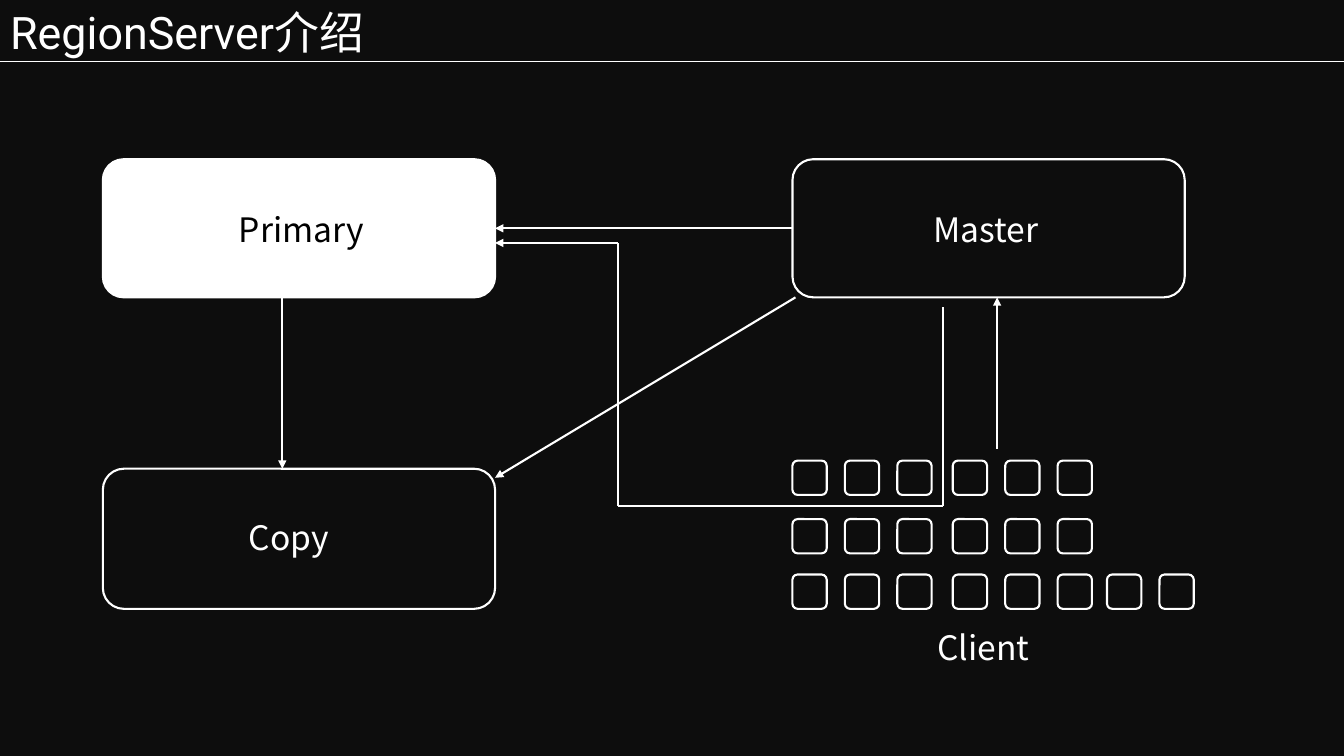
import itertools

import pptx
import pptx.dml.color
import pptx.enum.shapes
import pptx.enum.text
import pptx.oxml.ns
import pptx.util
from pptx.util import Inches

BLACK = pptx.dml.color.RGBColor(0x00, 0x00, 0x00)
WHITE = pptx.dml.color.RGBColor(0xFF, 0xFF, 0xFF)
NIGHT = pptx.dml.color.RGBColor(0x0D, 0x0D, 0x0D)
LABEL_FONT = "Noto Sans CJK SC"

TITLE = "RegionServer介绍"
NODES = {
    "Primary": {"place": (1.02, 1.58, 3.89, 1.37), "label": (2.27, 2.02), "fill": WHITE, "color": BLACK},
    "Copy": {"place": (1.02, 4.65, 3.89, 1.39), "label": (2.37, 5.08), "fill": None, "color": WHITE},
    "Master": {"place": (7.86, 1.58, 3.89, 1.37), "label": (9.16, 2.02), "fill": None, "color": WHITE},
}
CLIENT_LABEL = ("Client", (9.2, 6.17))
CLIENT_SIZE = 0.34
CLIENT_PITCH = 0.52
CLIENT_GROUPS = [(7.86, 3), (9.45, 3), (10.98, 2)]
CLIENT_ROWS = [(4.57, 2), (5.15, 2), (5.7, 3)]
ARROWS = [
    ((2.8, 2.95), (2.8, 4.65)),
    ((9.89, 4.45), (9.89, 2.95)),
    ((7.89, 2.95), (4.91, 4.74)),
]
CLIENT_ROUTE = [(9.35, 3.05), (9.35, 5.02), (6.13, 5.02), (6.13, 2.41), (4.91, 2.41)]


def write(box, text, font=LABEL_FONT, size=24, color=WHITE):
    """Put one left-aligned line of formatted text at the top of a box."""
    frame = box.text_frame
    frame.word_wrap = True
    frame.auto_size = pptx.enum.text.MSO_AUTO_SIZE.NONE
    frame.vertical_anchor = pptx.enum.text.MSO_ANCHOR.TOP
    para = frame.paragraphs[0]
    para.alignment = pptx.enum.text.PP_ALIGN.LEFT
    span = para.add_run()
    span.text = text
    span.font.name = font
    span.font.size = pptx.util.Pt(size)
    span.font.color.rgb = color


def add_label(page, text, corner, color=WHITE):
    """Add a text box with its top left at the given corner."""
    box = page.shapes.add_textbox(*map(Inches, (*corner, 1.95, 0.5)))
    write(box, text, color=color)


def add_rounded(page, place, fill=None):
    """Add a white-edged rounded rectangle."""
    shape = page.shapes.add_shape(
        pptx.enum.shapes.MSO_SHAPE.ROUNDED_RECTANGLE, *map(Inches, place))
    shape.adjustments[0] = 0.15
    shape.shadow.inherit = False
    if fill is None:
        shape.fill.background()
    else:
        shape.fill.solid()
        shape.fill.fore_color.rgb = fill
    shape.line.color.rgb = WHITE
    shape.line.width = pptx.util.Pt(1.5)
    return shape


def add_line(page, start, end, width=1.5, arrow=False):
    """Add a straight white line, with an arrowhead at its end if asked."""
    line = page.shapes.add_connector(
        pptx.enum.shapes.MSO_CONNECTOR.STRAIGHT, *map(Inches, (*start, *end)))
    line.line.color.rgb = WHITE
    line.line.width = pptx.util.Pt(width)
    if arrow:
        head = pptx.oxml.parse_xml(
            f'<a:tailEnd {pptx.oxml.ns.nsdecls("a")} type="triangle"/>')
        line.line._get_or_add_ln().append(head)
    line._element.spPr.append(
        pptx.oxml.parse_xml(f'<a:effectLst {pptx.oxml.ns.nsdecls("a")}/>'))
    return line


def main():
    """Build the slide and save it."""
    deck = pptx.Presentation()
    deck.slide_width = Inches(13.33)
    deck.slide_height = Inches(7.5)
    page = deck.slides.add_slide(deck.slide_layouts[5])
    page.background.fill.solid()
    page.background.fill.fore_color.rgb = NIGHT

    title = page.shapes.title
    title.left, title.top, title.width, title.height = map(Inches, (0, 0, 5.17, 0.64))
    write(title, TITLE, font="Roboto", size=32)
    add_line(page, (0, 0.61), (13.33, 0.61), width=1)

    shapes = {}
    for name, node in NODES.items():
        shapes[name] = add_rounded(page, node["place"], node["fill"])
        add_label(page, name, node["label"], node["color"])

    for top, group_count in CLIENT_ROWS:
        for left, count in CLIENT_GROUPS[:group_count]:
            for column in range(count):
                add_rounded(page, (left + column * CLIENT_PITCH, top, CLIENT_SIZE, CLIENT_SIZE))
    add_label(page, *CLIENT_LABEL)

    for start, end in ARROWS:
        add_line(page, start, end, arrow=True)
    for start, end in itertools.pairwise(CLIENT_ROUTE):
        add_line(page, start, end, arrow=end == CLIENT_ROUTE[-1])
    link = add_line(page, (7.86, 2.27), (4.91, 2.27), arrow=True)
    link.begin_connect(shapes["Master"], 1)
    link.end_connect(shapes["Primary"], 3)

    deck.save("out.pptx")


if __name__ == "__main__":
    main()
